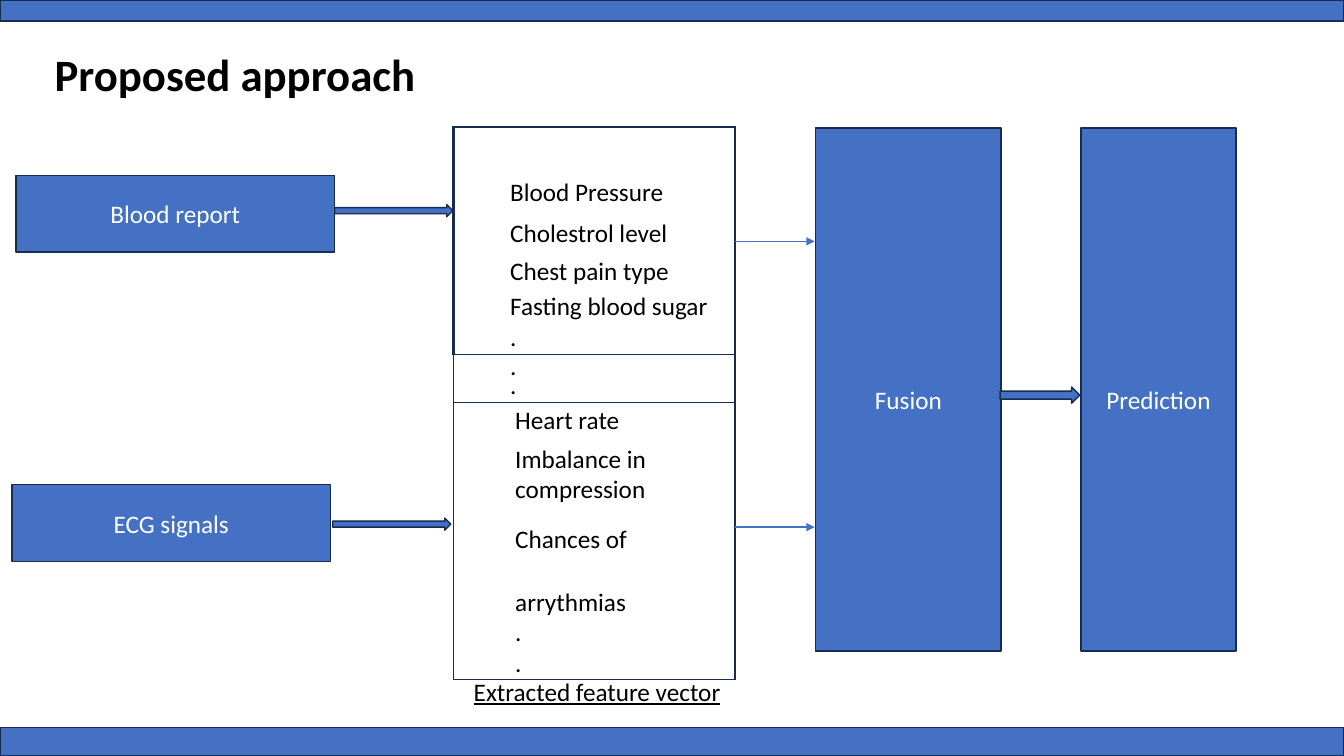
import dataclasses

import pptx
import pptx.dml.color
import pptx.enum.shapes
import pptx.enum.text
import pptx.oxml
import pptx.oxml.ns
import pptx.util

SHAPES = pptx.enum.shapes.MSO_SHAPE
ALIGN = pptx.enum.text.PP_ALIGN
ANCHOR = pptx.enum.text.MSO_ANCHOR
SLIDE_WIDTH = pptx.util.Inches(13.33)
SLIDE_HEIGHT = pptx.util.Inches(7.5)


@dataclasses.dataclass(frozen=True)
class Theme:
    font: str = "Calibri"
    fill: str = "4471C4"
    outline: str = "172C51"
    ink: str = "000000"
    light: str = "FFFFFF"
    title_size: float = 32
    body_size: float = 18
    thin: float = 1
    thick: float = 2.25


THEME = Theme()


def across(percent):
    return round(SLIDE_WIDTH * percent / 100)


def down(percent):
    return round(SLIDE_HEIGHT * percent / 100)


def area(left, top, width, height):
    return across(left), down(top), across(width), down(height)


def color(value):
    return pptx.dml.color.RGBColor.from_string(value)


def set_margins(target, left=0, top=0, right=0, bottom=0):
    target.margin_left = pptx.util.Inches(left)
    target.margin_top = pptx.util.Inches(top)
    target.margin_right = pptx.util.Inches(right)
    target.margin_bottom = pptx.util.Inches(bottom)


def write(para, text, size=THEME.body_size, ink=THEME.ink, bold=False,
          underline=False, align=ALIGN.LEFT, before=0, line=1.0):
    para.alignment = align
    para.space_before = pptx.util.Pt(before)
    para.line_spacing = line
    span = para.add_run()
    span.text = text
    span.font.name = THEME.font
    span.font.size = pptx.util.Pt(size)
    span.font.bold = bold
    span.font.underline = underline
    span.font.color.rgb = color(ink)


def add_block(page, place, kind=SHAPES.RECTANGLE, text="", top_margin=0):
    box = page.shapes.add_shape(kind, *area(*place))
    box.shadow.inherit = False
    box.fill.solid()
    box.fill.fore_color.rgb = color(THEME.fill)
    box.line.color.rgb = color(THEME.outline)
    box.line.width = pptx.util.Pt(THEME.thin)
    if text:
        frame = box.text_frame
        set_margins(frame, top=top_margin)
        frame.vertical_anchor = ANCHOR.MIDDLE
        write(frame.paragraphs[0], text, ink=THEME.light, align=ALIGN.CENTER)


def add_thin_arrow(page, start, end, height):
    arrow = page.shapes.add_connector(
        pptx.enum.shapes.MSO_CONNECTOR.STRAIGHT,
        across(start), down(height), across(end), down(height))
    arrow.line.color.rgb = color(THEME.fill)
    arrow.line.width = pptx.util.Pt(THEME.thin)
    properties = arrow.line._get_or_add_ln()
    head = pptx.oxml.parse_xml(
        f'<a:tailEnd {pptx.oxml.ns.nsdecls("a")} type="triangle"/>')
    properties.append(head)
    properties.getparent().append(pptx.oxml.parse_xml(
        f'<a:effectLst {pptx.oxml.ns.nsdecls("a")}/>'))


def set_borders(cell, left, right):
    widths = {"L": left, "R": right, "T": THEME.thin, "B": THEME.thin}
    properties = cell._tc.get_or_add_tcPr()
    for index, (side, width) in enumerate(widths.items()):
        properties.insert(index, pptx.oxml.parse_xml(
            f'<a:ln{side} {pptx.oxml.ns.nsdecls("a")} w="{pptx.util.Pt(width)}">'
            f'<a:solidFill><a:srgbClr val="{THEME.outline}"/></a:solidFill>'
            f'</a:ln{side}>'))


def add_features(page):
    blood = [("Blood Pressure", {}), ("Cholestrol level", {"before": 7.3}),
             ("Chest pain type", {"before": 5.1}),
             ("Fasting blood sugar", {"before": 3}), (".", {})]
    between = [(".", {"line": pptx.util.Pt(19.8)}),
               (".", {"line": pptx.util.Pt(13.4)})]
    heart = [("Heart rate", {}), ("Imbalance in compression", {"before": 5.8}),
             ("Chances of", {"before": 13.7}), ("arrythmias", {"before": 22.6}),
             (".", {}), (".", {})]
    rows = [(30.13, 0.56, 0.5, THEME.thick, blood),
            (6.27, 0.56, 0, THEME.thin, between),
            (32.93, 0.61, 0.03, THEME.thin, heart)]
    height = sum(row[0] for row in rows)
    table = page.shapes.add_table(
        len(rows), 1, *area(33.76, 16.8, 20.93, height)).table
    table.first_row = False
    table.horz_banding = False
    for index, (share, indent, top, left_border, lines) in enumerate(rows):
        table.rows[index].height = down(share)
        cell = table.cell(index, 0)
        set_margins(cell, left=indent, top=top)
        cell.fill.background()
        set_borders(cell, left_border, THEME.thick)
        frame = cell.text_frame
        for number, (text, look) in enumerate(lines):
            para = frame.add_paragraph() if number else frame.paragraphs[0]
            write(para, text, **look)


def add_title(page, text):
    title = page.shapes.title
    title.left, title.top, title.width, title.height = area(3.98, 5.87, 76.37, 7.33)
    frame = title.text_frame
    frame.auto_size = pptx.enum.text.MSO_AUTO_SIZE.NONE
    frame.vertical_anchor = ANCHOR.TOP
    set_margins(frame, left=0.01, top=0.02)
    write(frame.paragraphs[0], text, size=THEME.title_size, bold=True)


def add_caption(page, text):
    box = page.shapes.add_textbox(*area(34.51, 88.8, 20.1, 5.33))
    box.text_frame.word_wrap = False
    write(box.text_frame.paragraphs[0], text, underline=True)


def main():
    deck = pptx.Presentation()
    deck.slide_width = SLIDE_WIDTH
    deck.slide_height = SLIDE_HEIGHT
    page = deck.slides.add_slide(deck.slide_layouts.get_by_name("Title Only"))
    for bar in [(0, 0, 100, 2.8), (0, 96.27, 100, 3.73)]:
        add_block(page, bar)
    add_title(page, "Proposed approach")
    add_block(page, (1.2, 23.2, 23.7, 10.13), text="Blood report")
    add_block(page, (0.9, 64.13, 23.7, 10.13), text="ECG signals")
    add_features(page)
    add_block(page, (60.69, 16.93, 13.8, 69.2), text="Fusion", top_margin=0.2)
    add_block(page, (80.42, 16.93, 11.55, 69.2), text="Prediction", top_margin=0.2)
    for arrow in [(24.91, 27.07, 8.78, 1.6), (24.76, 68.53, 8.78, 1.6),
                  (74.42, 51.2, 5.92, 2.13)]:
        add_block(page, arrow, kind=SHAPES.RIGHT_ARROW)
    for height in (31.93, 69.73):
        add_thin_arrow(page, 54.69, 60.62, height)
    add_caption(page, "Extracted feature vector")
    deck.save("out.pptx")


if __name__ == "__main__":
    main()
